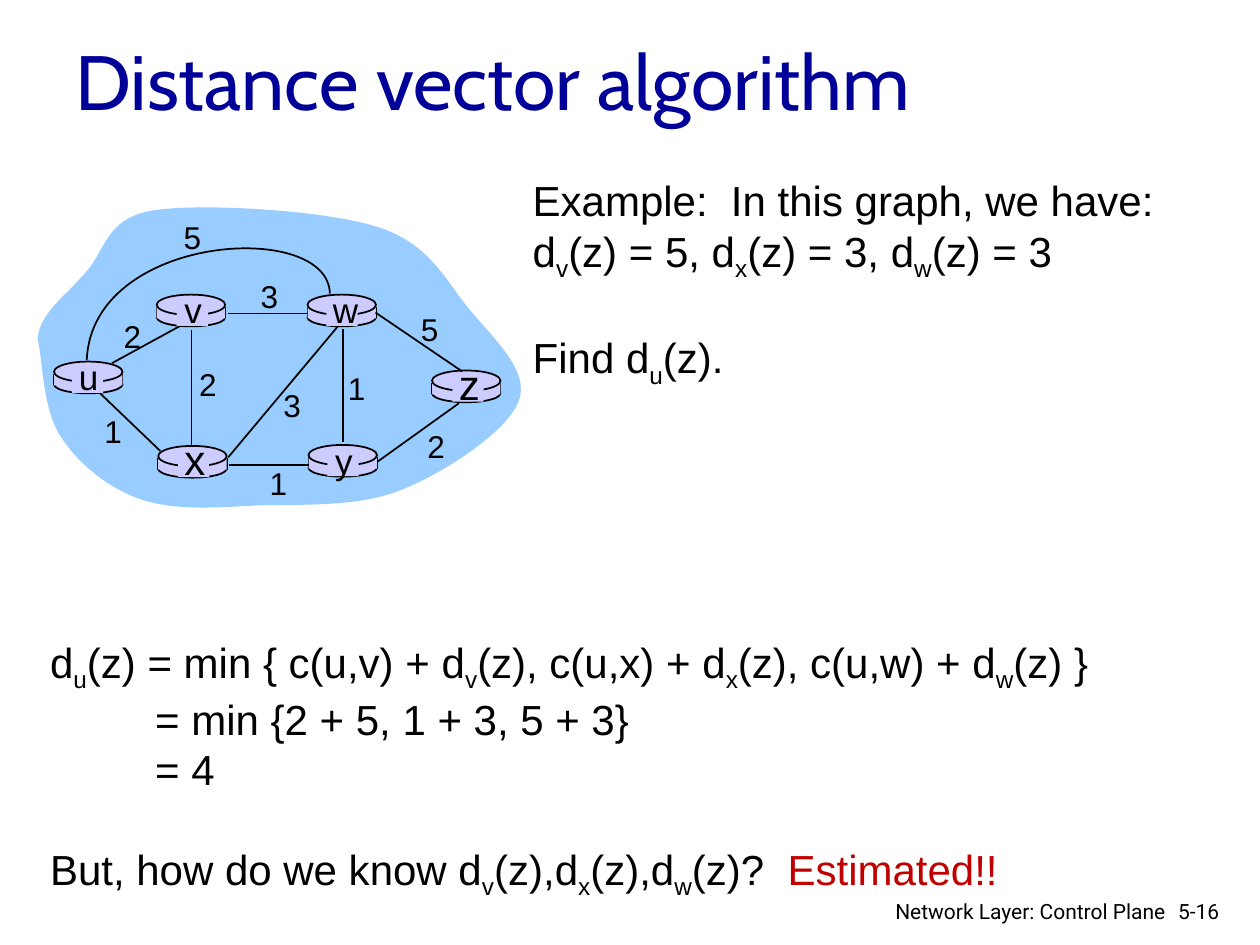
import pptx
import pptx.util
import pptx.dml.color
import pptx.enum.shapes
import pptx.enum.text
import pptx.oxml.ns
import lxml.etree

Cm = pptx.util.Cm
Pt = pptx.util.Pt
Shape = pptx.enum.shapes.MSO_SHAPE
Align = pptx.enum.text.PP_ALIGN
Anchor = pptx.enum.text.MSO_ANCHOR
qn = pptx.oxml.ns.qn
hues = {"cloud": "99CCFF", "node": "CCCCFF", "ink": "000000",
        "title": "000099", "alert": "C00000"}
tint = {key: pptx.dml.color.RGBColor.from_string(code) for key, code in hues.items()}

deck = pptx.Presentation()
deck.slide_width, deck.slide_height = Cm(25.4), Cm(19.05)
slide = deck.slides.add_slide(deck.slide_layouts[6])
shapes = slide.shapes


def write(box, lines, size, face="Arial", hue="ink", align=Align.LEFT, wrap=True):
    area = shapes.add_textbox(*[Cm(n) for n in box])
    frame = area.text_frame
    frame.word_wrap = wrap
    for i, line in enumerate(lines):
        para = frame.paragraphs[0] if i == 0 else frame.add_paragraph()
        para.alignment = align
        para.font.size = Pt(size)
        para.font.name = face
        para.font.color.rgb = tint[hue]
        head, *tails = line.split("_")
        para.add_run().text = head
        for tail in tails:
            sub = para.add_run()
            sub.text = tail[0]
            sub.font._element.set("baseline", "-25000")
            para.add_run().text = tail[1:]
    return frame


def curve(points, close):
    spots = [(Cm(x), Cm(y)) for x, y in points]
    build = shapes.build_freeform(*spots[0])
    build.add_line_segments(spots[1:], close=close)
    form = build.convert_to_shape()
    form.shadow.inherit = False
    legs = list(form._element.iter(qn("a:lnTo")))
    for i in range(0, len(spots) - 1, 3):
        bend = lxml.etree.Element(qn("a:cubicBezTo"))
        legs[i].addprevious(bend)
        for leg in legs[i:i + 3]:
            bend.append(leg[0])
            leg.getparent().remove(leg)
    return form


cloud = curve([
    (0.76, 6.83), (0.79, 6.32), (1.35, 5.94), (1.73, 5.49),
    (2.13, 5.05), (2.13, 4.39), (3.1, 4.24),
    (4.09, 4.09), (6.55, 4.24), (7.59, 4.57),
    (8.66, 4.9), (8.97, 5.64), (9.45, 6.22),
    (9.93, 6.81), (10.69, 7.47), (10.46, 8.08),
    (10.24, 8.69), (8.97, 9.53), (8.08, 9.88),
    (7.19, 10.24), (6.02, 10.16), (5.16, 10.19),
    (4.27, 10.24), (3.48, 10.29), (2.82, 10.06),
    (2.16, 9.83), (1.55, 9.32), (1.22, 8.79),
    (0.86, 8.26), (0.86, 7.24), (0.76, 6.83)], True)
cloud.fill.solid()
cloud.fill.fore_color.rgb = tint["cloud"]
cloud.line.fill.background()

wide = 1.38
nodes = [("u", 1.09, 7.29, 20, 0.36), ("x", 3.19, 8.99, 24, 0.4),
         ("v", 3.16, 5.94, 20, 0.4), ("w", 6.2, 5.94, 20, 0.38),
         ("y", 6.22, 8.97, 20, 0.38), ("z", 8.71, 7.47, 24, 0.41)]
edges = [(2.26, 7.32, 3.76, 6.5), (6.91, 6.63, 6.91, 8.92),
         (3.86, 6.65, 3.86, 9.02), (4.6, 9.22, 6.81, 6.58),
         (7.62, 9.3, 9.25, 8.13), (6.22, 9.37, 4.62, 9.37),
         (3.23, 9.09, 2.01, 7.92), (6.2, 6.32, 4.6, 6.32),
         (9.32, 7.49, 7.57, 6.3)]

items = [("edge", edges[0])]
for name, x, y, size, inset in nodes:
    items += [(Shape.OVAL, (x, y + 0.28, wide, 0.36)),
              ("edge", (x, y + 0.25, x, y + 0.48)),
              ("edge", (x + wide, y + 0.25, x + wide, y + 0.48)),
              (Shape.RECTANGLE, (x, y + 0.25, wide, 0.23)),
              (Shape.OVAL, (x, y, wide, 0.41))]
items += [("edge", ends) for ends in edges[1:]]
items += [(Shape.RECTANGLE, (x + inset, y + 0.05, 0.63, 0.58))
          for name, x, y, size, inset in nodes]

for kind, place in items:
    place = [Cm(n) for n in place]
    if kind == "edge":
        part = shapes.add_connector(pptx.enum.shapes.MSO_CONNECTOR.STRAIGHT, *place)
        lxml.etree.SubElement(part._element.spPr, qn("a:effectLst"))
    else:
        part = shapes.add_shape(kind, *place)
        part.shadow.inherit = False
        part.fill.solid()
        part.fill.fore_color.rgb = tint["node"]
    if kind == Shape.RECTANGLE:
        part.line.fill.background()
    else:
        part.line.color.rgb = tint["ink"]
        part.line.width = Pt(1)

arc = curve([(6.65, 5.92), (6.63, 4.42), (1.85, 4.7), (1.75, 7.26)], False)
arc.fill.background()
arc.line.color.rgb = tint["ink"]
arc.line.width = Pt(1)

for name, x, y, size, inset in nodes:
    rise, tall = (0.24, 1.09) if size == 20 else (0.37, 1.27)
    write((x + inset - 0.12, y - rise, 0.91, tall), [name], size,
          align=Align.CENTER, wrap=False)

costs = [("2", 2.24, 6.27), ("2", 3.76, 7.24), ("1", 1.85, 8.18),
         ("3", 5.46, 7.65), ("1", 5.18, 9.22), ("1", 6.76, 7.32),
         ("2", 8.36, 8.48), ("5", 8.23, 6.12), ("3", 5, 5.46), ("5", 3.45, 4.27)]
for cost, x, y in costs:
    write((x, y, 0.86, 1.02), [cost], 18, align=Align.CENTER, wrap=False)

task = write((10.49, 3.4, 13.16, 4.37), [
    "Example:  In this graph, we have:",
    "d_v(z) = 5, d_x(z) = 3, d_w(z) = 3",
    "Find d_u(z)."], 24, wrap=False)
task.paragraphs[2].space_before = Pt(28)

proof = write((0.76, 12.7, 23.27, 6.4), [
    "d_u(z) = min { c(u,v) + d_v(z), c(u,x) + d_x(z), c(u,w) + d_w(z) }",
    "= min {2 + 5, 1 + 3, 5 + 3}",
    "= 4",
    "But, how do we know d_v(z),d_x(z),d_w(z)?  "], 24)
for para in proof.paragraphs[1:3]:
    para._p.get_or_add_pPr().set("marL", str(Cm(2.12)))
last = proof.paragraphs[3]
last.space_before = Pt(28)
alert = last.add_run()
alert.text = "Estimated!!"
alert.font.color.rgb = tint["alert"]

write((23.5, 17.98, 1.52, 0.76), ["5-16"], 12, "Roboto")
write((17.7, 17.98, 6.05, 0.66), ["Network Layer: Control Plane"], 12, "Roboto",
      align=Align.RIGHT)
title = write((1.27, 0.43, 21.59, 2.34), ["Distance vector algorithm"], 44,
              "Cabin", "title")
title.vertical_anchor = Anchor.MIDDLE

deck.save("out.pptx")
